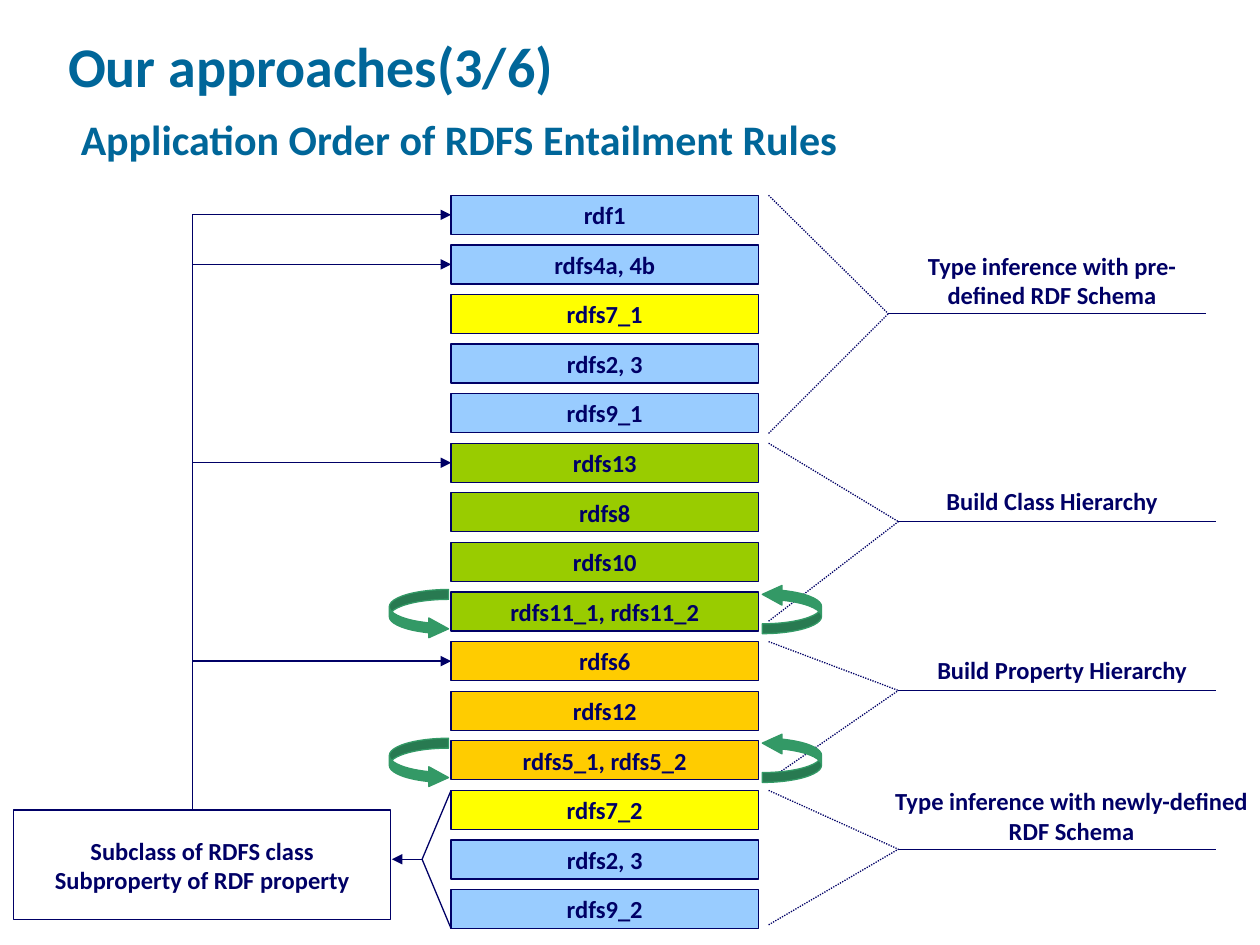
from dataclasses import dataclass
from lxml.etree import SubElement
from pptx import Presentation
from pptx.dml.color import RGBColor
from pptx.enum.dml import MSO_LINE
from pptx.enum.shapes import MSO_CONNECTOR, MSO_SHAPE
from pptx.enum.text import MSO_ANCHOR, PP_ALIGN
from pptx.oxml.ns import qn
from pptx.util import Inches, Pt


@dataclass(frozen=True)
class Theme:
    face: str = "Calibri"
    head: str = "006699"
    ink: str = "000066"
    white: str = "FFFFFF"
    blue: str = "99CCFF"
    yellow: str = "FFFF00"
    green: str = "99CC00"
    orange: str = "FFCC00"
    loop: str = "339966"
    title: int = 32
    sub: int = 24
    body: int = 14
    rule: float = 0.75


class Board:
    def __init__(self, slide, theme):
        self.slide = slide
        self.theme = theme

    def font(self, font, size, color):
        font.name, font.size, font.bold = self.theme.face, Pt(size), True
        font.color.rgb = RGBColor.from_string(color)

    def title(self, text, sub):
        box = self.slide.shapes.title
        box.left, box.top = Inches(0.44), Inches(0.12)
        box.width, box.height = Inches(8.5), Inches(1.25)
        frame = box.text_frame
        frame.vertical_anchor = MSO_ANCHOR.BOTTOM
        para = frame.paragraphs[0]
        para.alignment = PP_ALIGN.LEFT
        para.text = text + "\v "
        para.add_run().text = sub
        self.font(para.font, self.theme.title, self.theme.head)
        para.runs[-1].font.size = Pt(self.theme.sub)

    def fill_text(self, frame, text):
        frame.text = text
        for para in frame.paragraphs:
            para.alignment = PP_ALIGN.CENTER
            self.font(para.font, self.theme.body, self.theme.ink)

    def shape(self, kind, x, y, w, h, fill, edge):
        item = self.slide.shapes.add_shape(
            kind, Inches(x), Inches(y), Inches(w), Inches(h))
        item.shadow.inherit = False
        item.fill.solid()
        item.fill.fore_color.rgb = RGBColor.from_string(fill)
        item.line.color.rgb = RGBColor.from_string(edge)
        item.line.width = Pt(self.theme.rule)
        return item

    def box(self, x, y, w, h, fill, text):
        item = self.shape(MSO_SHAPE.RECTANGLE, x, y, w, h, fill, self.theme.ink)
        frame = item.text_frame
        frame.word_wrap = False
        frame.vertical_anchor = MSO_ANCHOR.MIDDLE
        self.fill_text(frame, text)

    def label(self, x, y, w, h, text):
        item = self.slide.shapes.add_textbox(
            Inches(x), Inches(y), Inches(w), Inches(h))
        item.text_frame.word_wrap = True
        self.fill_text(item.text_frame, text)

    def line(self, x1, y1, x2, y2, dots=False, arrow=False):
        item = self.slide.shapes.add_connector(
            MSO_CONNECTOR.STRAIGHT, Inches(x1), Inches(y1), Inches(x2), Inches(y2))
        item.line.color.rgb = RGBColor.from_string(self.theme.ink)
        item.line.width = Pt(self.theme.rule)
        if dots:
            item.line.dash_style = MSO_LINE.ROUND_DOT
        props = item._element.spPr
        if arrow:
            SubElement(props.find(qn("a:ln")), qn("a:tailEnd"), type="triangle")
        SubElement(props, qn("a:effectLst"))

    def loop(self, x, y, turn):
        color = self.theme.loop
        item = self.shape(MSO_SHAPE.CURVED_RIGHT_ARROW, x, y, 0.47, 0.39, color, color)
        item.rotation = turn
        for i, value in enumerate((0.2, 0.4, 0.4)):
            item.adjustments[i] = value


def main():
    deck = Presentation()
    deck.slide_width, deck.slide_height = Inches(10), Inches(7.5)
    theme = Theme()
    board = Board(deck.slides.add_slide(deck.slide_layouts[5]), theme)
    board.title("Our approaches(3/6)", "Application Order of RDFS Entailment Rules")

    # Stack of rules, in order of application
    left, wide, high = 3.58, 2.44, 0.31
    rules = [
        ("rdf1", theme.blue), ("rdfs4a, 4b", theme.blue),
        ("rdfs7_1", theme.yellow), ("rdfs2, 3", theme.blue),
        ("rdfs9_1", theme.blue), ("rdfs13", theme.green),
        ("rdfs8", theme.green), ("rdfs10", theme.green),
        ("rdfs11_1, rdfs11_2", theme.green), ("rdfs6", theme.orange),
        ("rdfs12", theme.orange), ("rdfs5_1, rdfs5_2", theme.orange),
        ("rdfs7_2", theme.yellow), ("rdfs2, 3", theme.blue),
        ("rdfs9_2", theme.blue),
    ]
    tops = [1.55 + i * 5.51 / 14 for i in range(len(rules))]
    for (name, fill), top in zip(rules, tops):
        board.box(left, top, wide, high, fill, name)

    # Dotted brackets: first row, end, tip x, tip y
    groups = [(0, 3.44, 7.05, 2.49), (5, 4.93, 7.13, 4.14),
              (9, 6.19, 7.13, 5.48), (12, 7.34, 7.13, 6.74)]
    for row, end, tip, mid in groups:
        board.line(6.1, tops[row], tip, mid, dots=True)
        board.line(6.1, end, tip, mid, dots=True)
        board.line(tip, mid, tip + 2.52, mid)

    # Group labels
    board.label(7.05, 1.94, 2.6, 0.57, "Type inference with pre-defined RDF Schema")
    board.label(7.05, 3.81, 2.6, 0.34, "Build Class Hierarchy")
    board.label(7.13, 5.15, 2.6, 0.57, "Build Property Hierarchy")
    board.label(6.97, 6.19, 3.07, 0.57, "Type inference with newly-defined RDF Schema")

    # Loops around the repeated rules
    for row in (8, 11):
        board.loop(3.09, tops[row] - 0.02, 0)
        board.loop(6.05, tops[row] - 0.06, 180)

    # Derived facts, fed by the last three rules
    board.box(0.11, 6.43, 2.99, 0.87, theme.white,
              "Subclass of RDFS class\nSubproperty of RDF property")
    for y in (tops[12], tops[14] + high):
        board.line(left, y, 3.35, 6.82)
    board.line(3.35, 6.82, 3.11, 6.82, arrow=True)

    # Feedback to earlier rules
    board.line(1.53, 6.43, 1.53, 1.7)
    for row in (0, 1, 5, 9):
        y = tops[row] + high / 2
        board.line(1.53, y, left, y, arrow=True)

    deck.save("out.pptx")


if __name__ == "__main__":
    main()
